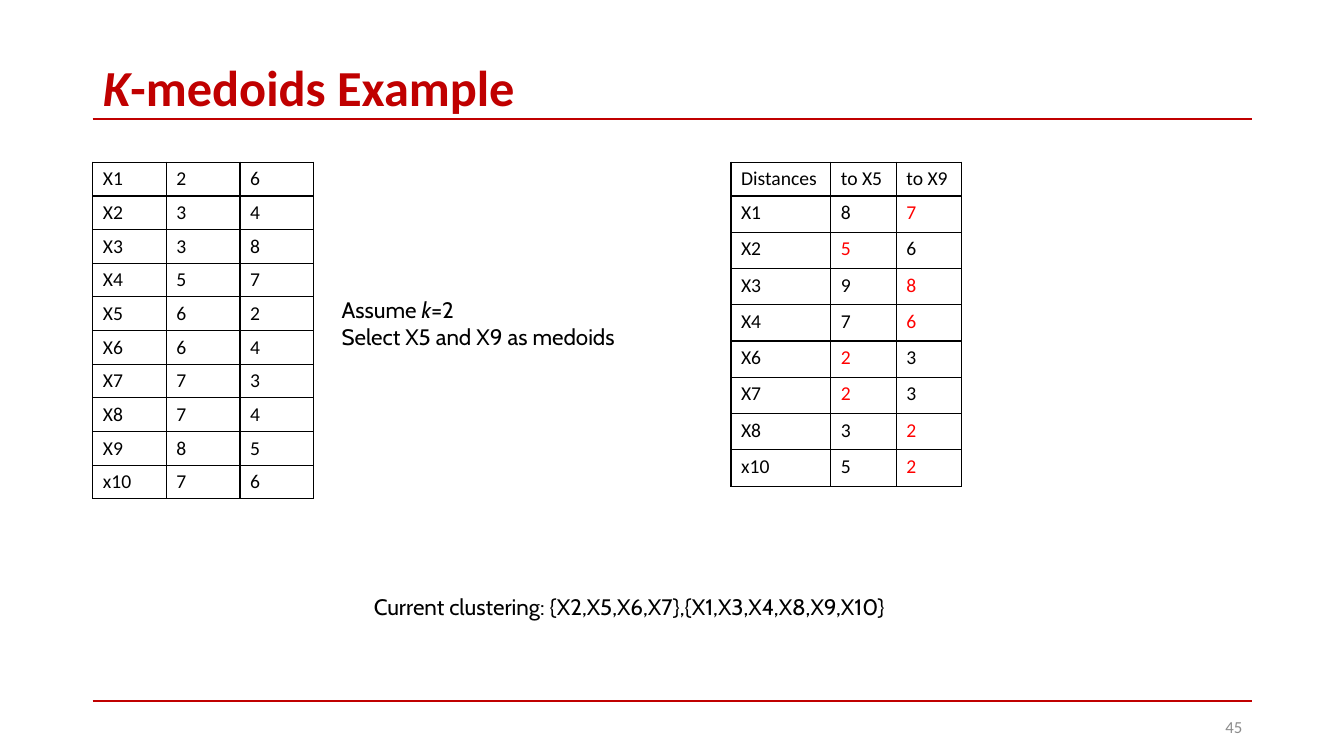
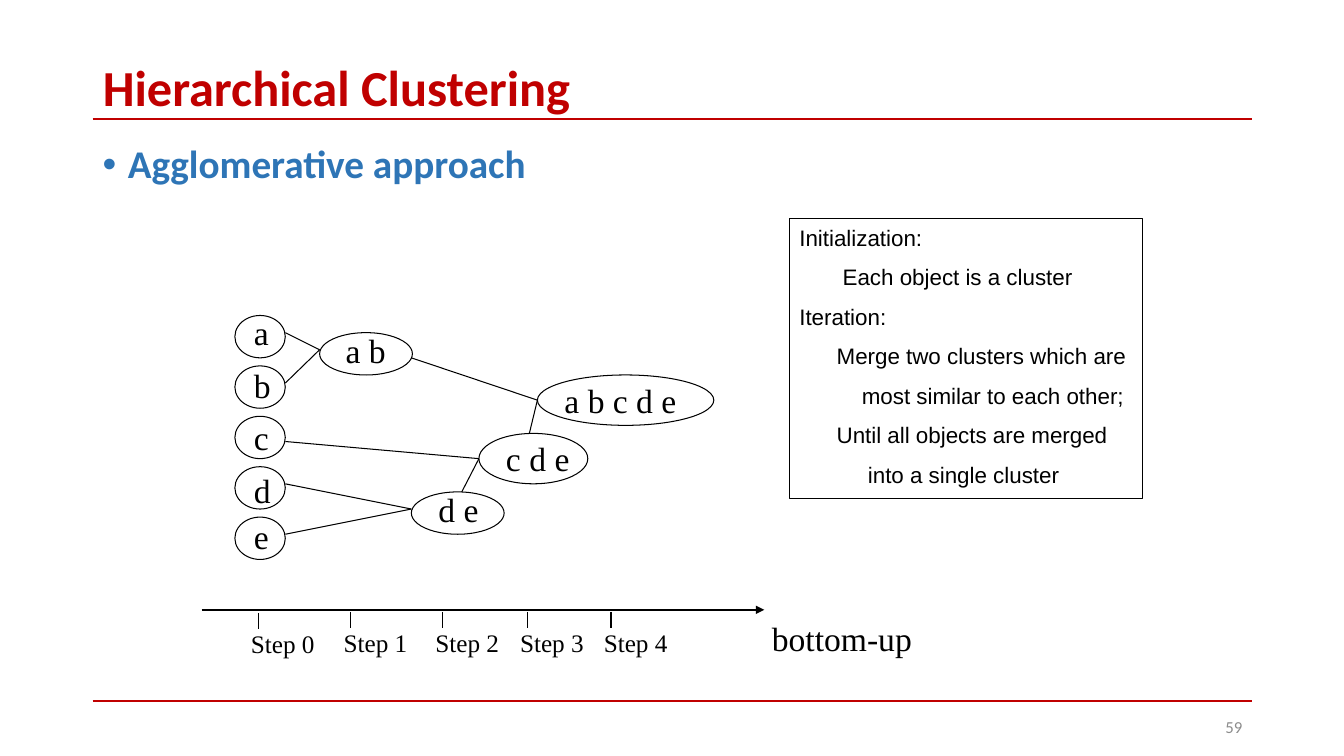
from dataclasses import dataclass

from lxml import etree
from pptx import Presentation
from pptx.dml.color import RGBColor
from pptx.enum.shapes import MSO_CONNECTOR as CONN, MSO_SHAPE as SHAPE
from pptx.enum.text import MSO_ANCHOR as ANCHOR, MSO_AUTO_SIZE as AUTO, PP_ALIGN as ALIGN
from pptx.oxml import parse_xml
from pptx.oxml.ns import nsdecls, qn
from pptx.util import Inches, Pt


@dataclass(frozen=True)
class Theme:
    red: str = "C00000"
    blue: str = "2E75B6"
    black: str = "000000"
    gray: str = "8C8C8C"
    highlight: str = "FF0000"
    main: str = "Calibri"
    note: str = "Cabin"
    diagram: str = "Times New Roman"
    algorithm: str = "Arial"
    title_size: int = 36
    heading_size: int = 28
    node_size: int = 24
    step_size: int = 18
    body_size: int = 16
    table_size: int = 14
    number_size: int = 12
    thin: float = 0.75
    thick: float = 1.5
    left: float = 0.92
    right: float = 12.42


T = Theme()


# Text
def write(p, text, font=T.main, size=T.body_size, color=T.black, bold=False, italic=False):
    r = p.add_run()
    r.text = text
    f = r.font
    f.name, f.size, f.bold, f.italic = font, Pt(size), bold, italic
    f.color.rgb = RGBColor.from_string(color)


def write_runs(p, runs, **fmt):
    """Write a string, or a list of (text, italic) pairs."""
    for text, italic in [(runs, False)] if isinstance(runs, str) else runs:
        write(p, text, italic=italic, **fmt)


def add_text(s, box, lines, align=ALIGN.LEFT, anchor=ANCHOR.TOP, wrap=False, **fmt):
    tf = s.shapes.add_textbox(*map(Inches, box)).text_frame
    tf.word_wrap, tf.vertical_anchor = wrap, anchor
    for i, runs in enumerate(lines):
        p = tf.add_paragraph() if i else tf.paragraphs[0]
        p.alignment = align
        write_runs(p, runs, **fmt)
    return tf


def indent(p, left, hanging=0, bullet=None):
    pPr = p._p.get_or_add_pPr()
    pPr.set("marL", str(Inches(left)))
    pPr.set("indent", str(-Inches(hanging)))
    if bullet:
        etree.SubElement(pPr, qn("a:buFont"), typeface="Arial")
        etree.SubElement(pPr, qn("a:buChar"), char=bullet)


# Lines, shapes and tables
def add_line(s, start, end, color=T.black, width=T.thin, arrow=False):
    c = s.shapes.add_connector(CONN.STRAIGHT, *map(Inches, (*start, *end)))
    c.line.color.rgb = RGBColor.from_string(color)
    c.line.width = Pt(width)
    if arrow:
        etree.SubElement(c.line._get_or_add_ln(), qn("a:tailEnd"), type="triangle")
    etree.SubElement(c._element.spPr, qn("a:effectLst"))


def add_outline(s, kind, box):
    sp = s.shapes.add_shape(kind, *map(Inches, box))
    sp.shadow.inherit = False
    sp.fill.background()
    sp.line.color.rgb = RGBColor.from_string(T.black)
    sp.line.width = Pt(T.thin)
    return sp


def add_node(s, text, box, label):
    add_text(s, (*label, box[2], 0.5), [text], font=T.diagram, size=T.node_size)
    add_outline(s, SHAPE.OVAL, box)


def set_borders(cell):
    tcPr = cell._tc.get_or_add_tcPr()
    for i, side in enumerate("LRTB"):
        tcPr.insert(i, parse_xml(
            f'<a:ln{side} {nsdecls("a")} w="{Pt(1)}"><a:solidFill>'
            f'<a:srgbClr val="{T.black}"/></a:solidFill></a:ln{side}>'))


def add_grid(s, left, top, widths, heights, rows, is_red=lambda row, value: False):
    size = (left, top, sum(widths), sum(heights))
    table = s.shapes.add_table(len(rows), len(widths), *map(Inches, size)).table
    table.first_row = table.horz_banding = False
    for column, width in zip(table.columns, widths):
        column.width = Inches(width)
    for table_row, height, row in zip(table.rows, heights, rows):
        table_row.height = Inches(height)
        for cell, value in zip(table_row.cells, row):
            cell.fill.background()
            set_borders(cell)
            color = T.highlight if is_red(row, value) else T.black
            write(cell.text_frame.paragraphs[0], str(value), size=T.table_size, color=color)


# Frame shared by the slides
def add_slide(prs, title, number):
    s = prs.slides.add_slide(prs.slide_layouts[5])
    for y in (1.18, 6.95):
        add_line(s, (T.left, y), (T.right, y), T.red, T.thick)
    sp = s.shapes.title
    sp.left, sp.top, sp.width, sp.height = map(Inches, (T.left, 0.61, 11.5, 0.58))
    tf = sp.text_frame
    tf.auto_size, tf.vertical_anchor = AUTO.NONE, ANCHOR.MIDDLE
    p = tf.paragraphs[0]
    p.alignment, p.line_spacing = ALIGN.LEFT, 0.9
    write_runs(p, title, size=T.title_size, color=T.red, bold=True)
    add_text(s, (9.42, 7.01, 3, 0.4), [str(number)], align=ALIGN.RIGHT,
             anchor=ANCHOR.MIDDLE, size=T.number_size, color=T.gray)
    return s


def medoids_slide(prs):
    s = add_slide(prs, [("K", True), ("-medoids Example", False)], 45)
    add_text(s, (3.29, 2.89, 3.03, 0.64),
             [[("Assume ", False), ("k", True), ("=2", False)],
              "Select X5 and X9 as medoids"], font=T.note)
    add_text(s, (3.61, 5.84, 5.8, 0.37),
             ["Current clustering: {X2,X5,X6,X7},{X1,X3,X4,X8,X9,X10}"], font=T.note)

    # Data points
    points = [("X1", 2, 6), ("X2", 3, 4), ("X3", 3, 8), ("X4", 5, 7), ("X5", 6, 2),
              ("X6", 6, 4), ("X7", 7, 3), ("X8", 7, 4), ("X9", 8, 5), ("x10", 7, 6)]
    add_grid(s, T.left, 1.61, [0.73] * 3, [0.33] * len(points), points)

    # Distances, with the nearer medoid in red
    distances = [("X1", 8, 7), ("X2", 5, 6), ("X3", 9, 8), ("X4", 7, 6),
                 ("X6", 2, 3), ("X7", 2, 3), ("X8", 3, 2), ("x10", 5, 2)]
    add_grid(s, 7.25, 1.61, [0.99, 0.65, 0.65], [0.33] + [0.36] * len(distances),
             [("Distances", "to X5", "to X9"), *distances],
             lambda row, value: row in distances and value == min(row[1:]))


def add_merge_tree(s):
    leaf_labels = {"a": 3.05, "b": 3.57, "c": 4.09, "d": 4.61, "e": 5.07}
    for i, (text, label_top) in enumerate(leaf_labels.items()):
        add_node(s, text, (2.33, 3.13 + 0.5 * i, 0.5, 0.42), (2.42, label_top))
    for text, box, label in [
        ("a b", (3.17, 3.3, 0.92, 0.42), (3.33, 3.22)),
        ("d e", (4.08, 4.88, 0.92, 0.42), (4.25, 4.8)),
        ("c d e", (4.75, 4.3, 1.08, 0.5), (4.92, 4.3)),
        ("a b c d e", (5.33, 3.72, 1.75, 0.5), (5.5, 3.72)),
    ]:
        add_node(s, text, box, label)

    # Each merged cluster with the ends of its two parts
    merges = {
        (3.17, 3.47): [(2.83, 3.3), (2.83, 3.8)],
        (4.08, 5.05): [(2.83, 4.8), (2.83, 5.3)],
        (4.75, 4.55): [(2.83, 4.38), (4.58, 4.88)],
        (5.33, 3.97): [(4.08, 3.55), (5.25, 4.3)],
    }
    for merged, parts in merges.items():
        for part in parts:
            add_line(s, part, merged)


def add_step_axis(s):
    add_line(s, (2, 6.05), (7.58, 6.05), width=T.thick, arrow=True)
    for i, x in enumerate((2.56, 3.48, 4.39, 5.23, 6.06)):
        y = 6.07 if i else 6.08
        add_line(s, (x, y), (x, y + 0.16))
        add_text(s, (x - 0.17, y + 0.1, 0.83, 0.4), [f"Step {i}"],
                 font=T.diagram, size=T.step_size)
    add_text(s, (7.55, 6.08, 1.6, 0.51), ["bottom-up"], align=ALIGN.CENTER,
             font=T.diagram, size=T.node_size)


def add_algorithm(s):
    tf = add_outline(s, SHAPE.RECTANGLE, (7.83, 2.17, 3.5, 2.78)).text_frame
    tf.word_wrap, tf.vertical_anchor = True, ANCHOR.TOP
    for i, (left, text) in enumerate([
        (0, "Initialization:"),
        (0.43, "Each object is a cluster"),
        (0, "Iteration:"),
        (0.37, "Merge two clusters which are"),
        (0.62, "most similar to each other;"),
        (0.37, "Until all objects are merged"),
        (0.68, "into a single cluster"),
    ]):
        p = tf.add_paragraph() if i else tf.paragraphs[0]
        p.alignment, p.space_before = ALIGN.LEFT, Pt(9 if i else 0)
        indent(p, left)
        write(p, text, font=T.algorithm)


def hierarchy_slide(prs):
    s = add_slide(prs, "Hierarchical Clustering", 59)
    tf = add_text(s, (T.left, 1.39, 11.5, 0.6), ["Agglomerative approach"], wrap=True,
                  size=T.heading_size, color=T.blue, bold=True)
    p = tf.paragraphs[0]
    indent(p, 0.25, hanging=0.25, bullet="•")
    p.line_spacing = 0.9
    add_merge_tree(s)
    add_step_axis(s)
    add_algorithm(s)


def main():
    prs = Presentation()
    prs.slide_width, prs.slide_height = Inches(13.33), Inches(7.5)
    medoids_slide(prs)
    hierarchy_slide(prs)
    prs.save("out.pptx")


if __name__ == "__main__":
    main()
